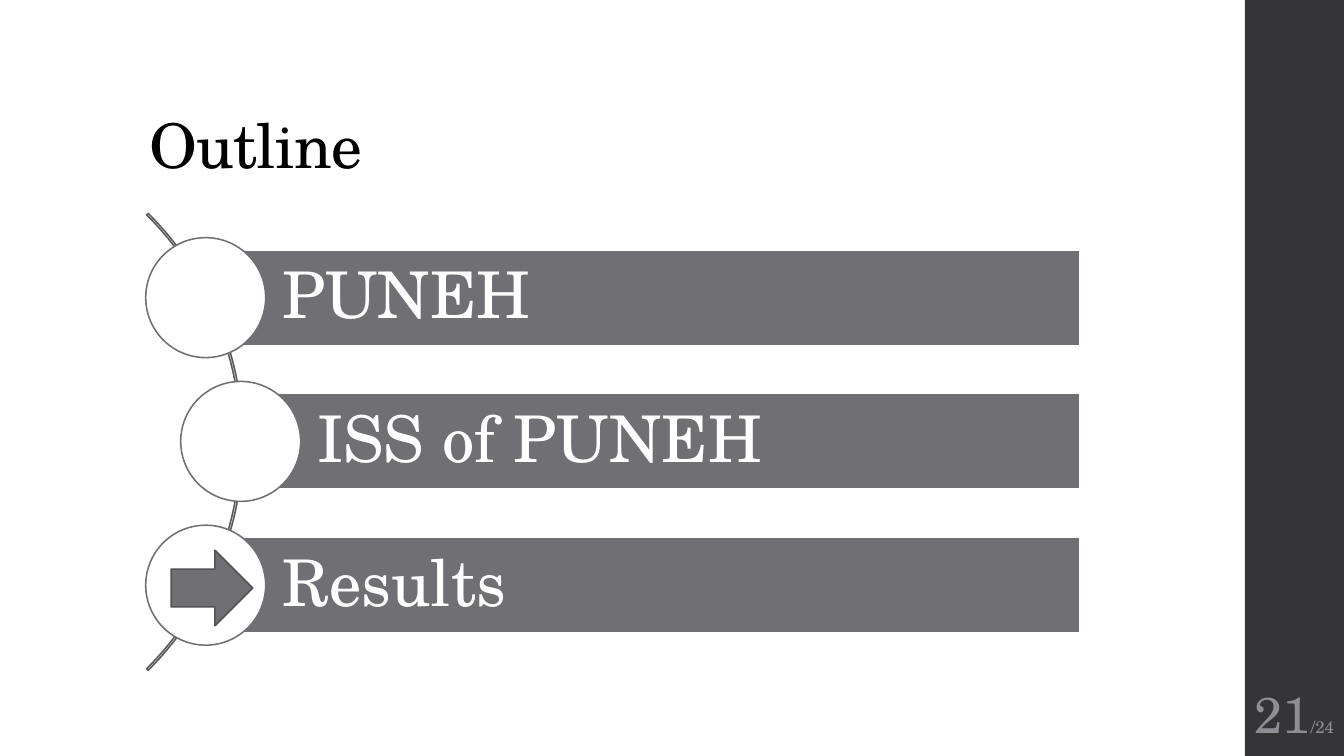
from pptx import Presentation
from pptx.dml.color import RGBColor
from pptx.enum.shapes import MSO_SHAPE as Preset
from pptx.enum.text import MSO_ANCHOR as Anchor, MSO_AUTO_SIZE as AutoSize, PP_ALIGN as Align
from pptx.util import Pt

SLIDE_WIDTH, SLIDE_HEIGHT = 960, 540
SIDEBAR_LEFT = 889.2
TOPICS = [("PUNEH", 146.9), ("ISS of PUNEH", 171.9), ("Results", 146.9)]
FIRST_CENTER, TOPIC_PITCH = 212.6, 102.7
BAR_RIGHT, BAR_HEIGHT, CIRCLE_SIZE = 771.4, 68.2, 85.7


def color(hex_string):
    return RGBColor.from_string(hex_string)


def write(paragraph, text, font="TeX Gyre Schola", size=46, fill="FFFFFF",
          align=Align.LEFT, line_spacing=None, tracking=None):
    paragraph.alignment = align
    if line_spacing:
        paragraph.line_spacing = line_spacing
    run = paragraph.add_run()
    run.text = text
    run.font.name = font
    run.font.size = Pt(size)
    run.font.color.rgb = color(fill)
    if tracking is not None:
        run.font._element.set("spc", str(round(tracking * 100)))


class OutlineSlide:
    gray = "6F6F74"
    white = "FFFFFF"
    line_width = 1.1

    def __init__(self, presentation):
        self.slide = presentation.slides.add_slide(presentation.slide_layouts[5])

    def place(self, shape, left, top, width, height):
        shape.left, shape.top = Pt(left), Pt(top)
        shape.width, shape.height = Pt(width), Pt(height)

    def frame(self, shape, anchor, insets):
        text_frame = shape.text_frame
        text_frame.word_wrap = True
        text_frame.auto_size = AutoSize.NONE
        text_frame.vertical_anchor = anchor
        (text_frame.margin_left, text_frame.margin_top,
         text_frame.margin_right, text_frame.margin_bottom) = map(Pt, insets)
        return text_frame.paragraphs[0]

    def title(self, text, left, top, width, height):
        title = self.slide.shapes.title
        self.place(title, left, top, width, height)
        paragraph = self.frame(title, Anchor.BOTTOM, (7.2, 3.6, 7.2, 3.6))
        write(paragraph, text, size=44, fill="000000", line_spacing=0.9, tracking=-0.5)

    def shape(self, preset, left, top, width, height, fill=None, line=None):
        shape = self.slide.shapes.add_shape(preset, Pt(left), Pt(top), Pt(width), Pt(height))
        shape.shadow.inherit = False
        if fill:
            shape.fill.solid()
            shape.fill.fore_color.rgb = color(fill)
        else:
            shape.fill.background()
        if line:
            shape.line.color.rgb = color(line)
            shape.line.width = Pt(self.line_width)
        else:
            shape.line.fill.background()
        return shape

    def arc(self, left, top, size):
        arc = self.shape(Preset.BLOCK_ARC, left, top, size, size, line="59595D")
        for index, value in enumerate((189, 27, 0.0034)):
            arc.adjustments[index] = value

    def topic(self, text, center_x, center_y):
        bar = self.shape(Preset.RECTANGLE, center_x, center_y - BAR_HEIGHT / 2,
                         BAR_RIGHT - center_x, BAR_HEIGHT, self.gray, self.white)
        paragraph = self.frame(bar, Anchor.MIDDLE, (54.7, 9.2, 9.2, 9.2))
        write(paragraph, text, line_spacing=0.9)
        radius = CIRCLE_SIZE / 2
        self.shape(Preset.OVAL, center_x - radius, center_y - radius,
                   CIRCLE_SIZE, CIRCLE_SIZE, self.white, self.gray)

    def page_number(self, number, total, left, top, width, height):
        box = self.slide.shapes.add_textbox(Pt(left), Pt(top), Pt(width), Pt(height))
        paragraph = self.frame(box, Anchor.MIDDLE, (3.6, 3.6, 3.6, 3.6))
        for text, size in ((number, 36), (total, 12)):
            write(paragraph, text, size=size, fill="8E8E94", align=Align.CENTER)


def main():
    presentation = Presentation()
    presentation.slide_width = Pt(SLIDE_WIDTH)
    presentation.slide_height = Pt(SLIDE_HEIGHT)
    outline = OutlineSlide(presentation)
    sidebar_width = SLIDE_WIDTH - SIDEBAR_LEFT
    outline.shape(Preset.RECTANGLE, SIDEBAR_LEFT, 0, sidebar_width, SLIDE_HEIGHT, "353537")
    outline.title("Outline", 99.4, 28.8, 763.2, 104.4)
    outline.arc(-288, 84.8, 461.5)
    for index, (text, center_x) in enumerate(TOPICS):
        outline.topic(text, center_x, FIRST_CENTER + index * TOPIC_PITCH)
    outline.shape(Preset.RIGHT_ARROW, 122.2, 393, 58.3, 54, outline.gray, "525256")
    outline.page_number("21", "/24", SIDEBAR_LEFT, 486, sidebar_width, 46.8)
    presentation.save("out.pptx")


if __name__ == "__main__":
    main()
